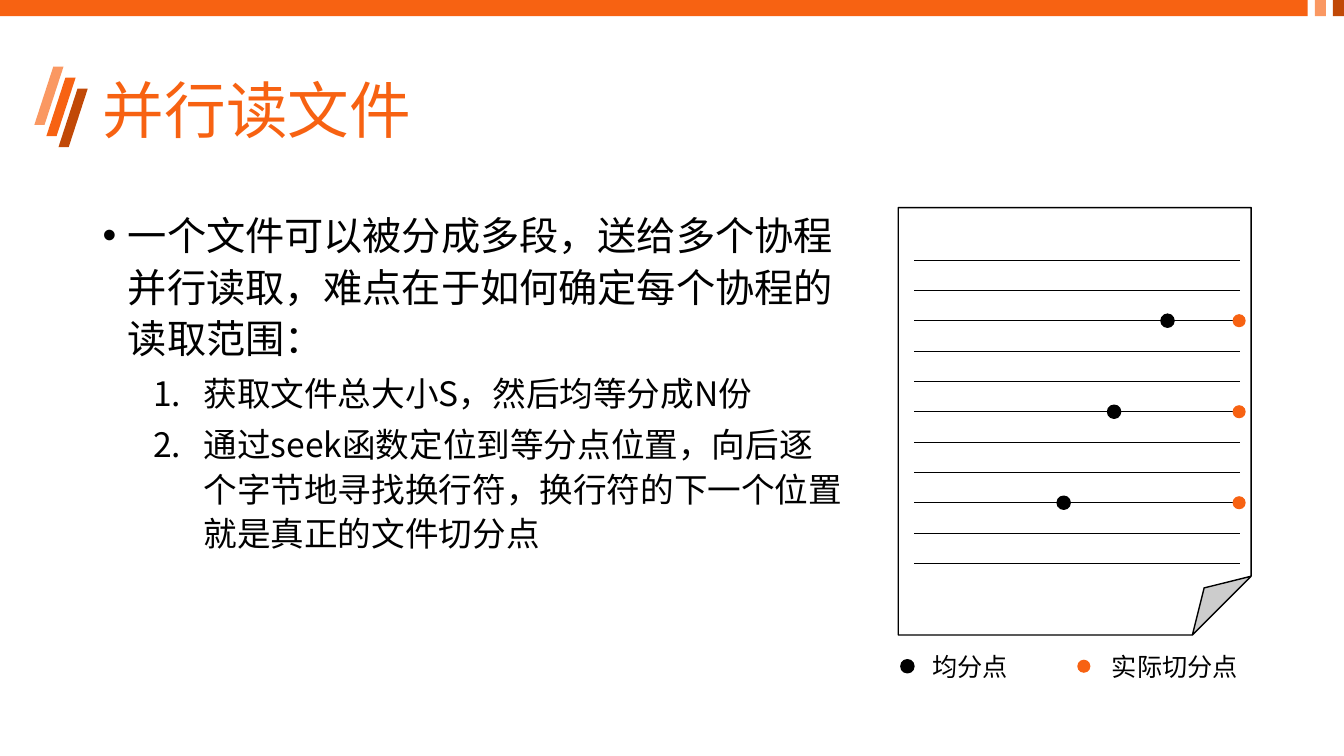
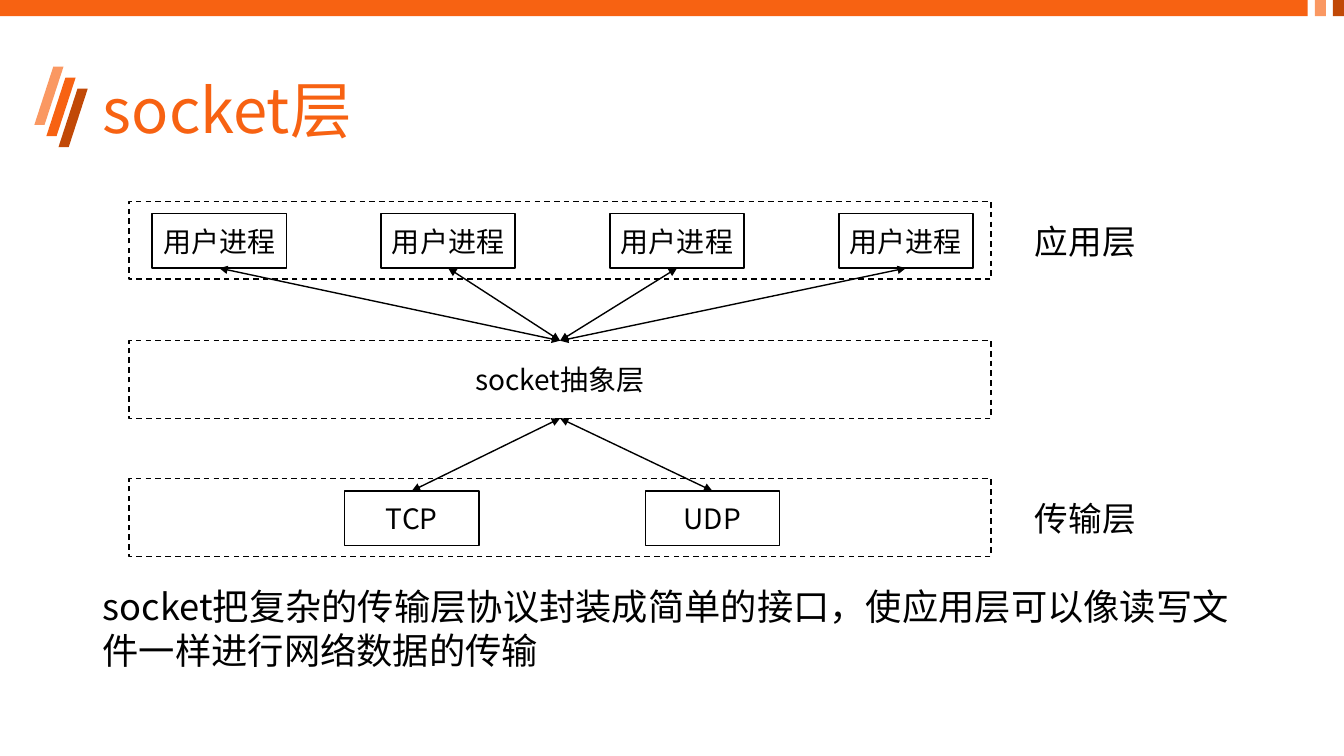
from lxml import etree
from pptx import Presentation
from pptx import util as u
from pptx.dml.color import RGBColor
from pptx.enum import dml, shapes, text
from pptx.oxml import ns

# Shared style
FONT = "Noto Sans CJK SC"
HUE = {"main": "F76212", "light": "FA9862", "dark": "C14907",
       "ink": "000000", "paper": "FFFFFF"}
WIDE, HIGH = 13.33, 7.5
LEFT, SPAN = 0.92, 11.5
KIND = shapes.MSO_SHAPE
ALIGN = text.PP_ALIGN

# Content: file slide
READ = "并行读文件"
STEPS = [  # level, text
    (0, "一个文件可以被分成多段，送给多个协程并行读取，难点在于如何确定每个协程的读取范围："),
    (1, "获取文件总大小S，然后均等分成N份"),
    (1, "通过seek函数定位到等分点位置，向后逐个字节地寻找换行符，换行符的下一个位置就是真正的文件切分点"),
]
LEVELS = [  # size, margin, indent, space before, bullet tag, bullet attributes
    (28, 0.25, -0.25, 10, "a:buChar", {"char": "•"}),
    (24, 1, -0.5, 5, "a:buAutoNum", {"type": "arabicPeriod"}),
]
ROWS = 11
CUTS = [(2, 11.58), (5, 11.05), (8, 10.55)]  # row, centre of even split
KEYS = [("均分点", "ink", 9, 9.15, 0.96), ("实际切分点", "main", 10.75, 10.93, 1.46)]

# Content: socket slide
SOCKET = "socket层"
BANDS = [  # top, text inside, side label, boxes, first left, step
    (2, "", "应用层", ["用户进程"] * 4, 1.51, 2.27),
    (3.38, "socket抽象层", "", [], 0, 0),
    (4.75, "", "传输层", ["TCP", "UDP"], 3.42, 2.98),
]
NOTE = "socket把复杂的传输层协议封装成简单的接口，使应用层可以像读写文件一样进行网络数据的传输"


def rgb(name):
    return RGBColor.from_string(HUE[name])


def inch(*vals):
    return [u.Inches(v) for v in vals]


def sub(node, tag, **attrs):
    return etree.SubElement(node, ns.qn(tag), attrs)


def style(para, size, hue="ink", align=ALIGN.LEFT, gap=None):
    para.alignment = align
    if gap:
        para.line_spacing = gap
    font = para.font
    font.size, font.color.rgb, font.name = u.Pt(size), rgb(hue), FONT
    sub(font._element, "a:ea", typeface=FONT)


def shape(page, kind, at, fill=None, line=None, dash=False):
    item = page.shapes.add_shape(kind, *inch(*at))
    item.shadow.inherit = False
    if fill:
        item.fill.solid()
        item.fill.fore_color.rgb = rgb(fill)
    else:
        item.fill.background()
    if line:
        item.line.color.rgb = rgb(line)
        item.line.width = u.Pt(1)
        if dash:
            item.line.dash_style = dml.MSO_LINE.DASH
    else:
        item.line.fill.background()
    return item


def box(page, at, words="", dash=False):
    item = shape(page, KIND.RECTANGLE, at, line="ink", dash=dash)
    if words:
        frame = item.text_frame
        frame.margin_left = frame.margin_right = 0
        frame.vertical_anchor = text.MSO_ANCHOR.MIDDLE
        frame.text = words
        style(frame.paragraphs[0], 20, align=ALIGN.CENTER)
    return item


def label(page, at, words, size, align=ALIGN.LEFT, wrap=False):
    frame = page.shapes.add_textbox(*inch(*at)).text_frame
    frame.word_wrap = wrap
    frame.text = words
    style(frame.paragraphs[0], size, align=align)


def link(page, start, end, width, heads=False):
    item = page.shapes.add_connector(shapes.MSO_CONNECTOR.STRAIGHT, *inch(*start, *end))
    item.line.color.rgb = rgb("ink")
    item.line.width = u.Pt(width)
    if heads:
        for tag in ("a:headEnd", "a:tailEnd"):
            sub(item.line._get_or_add_ln(), tag, type="triangle")
    sub(item.element.spPr, "a:effectLst")
    return item


def dot(page, x, y, hue):
    size = 0.13
    at = (x - size / 2, y - size / 2, size, size)
    shape(page, KIND.OVAL, at, hue, "ink" if hue == "ink" else None)


def brand(page, layout):
    """Draw the top band and title mark, then hand them to the layout."""
    parts = [shape(page, KIND.RECTANGLE, (x, 0, w, 0.16), hue)
             for x, w, hue in ((0, 12.97, "main"), (13.04, 0.11, "light"),
                               (13.22, 0.11, "dark"))]
    for n, hue in enumerate(("light", "main", "dark")):
        bar = shape(page, KIND.PARALLELOGRAM,
                    (0.34 + 0.12 * n, 0.66 + 0.11 * n, 0.29, 0.58), hue)
        bar.adjustments[0] = 0.65
        parts.append(bar)
    for part in parts:
        layout.shapes.element.append(part.element)


def start(deck, words):
    page = deck.slides.add_slide(deck.slide_layouts[5])
    title = page.shapes.title
    title.left, title.top, title.width, title.height = inch(LEFT, 0.4, SPAN, 1.45)
    frame = title.text_frame
    frame.text = words
    frame.auto_size = text.MSO_AUTO_SIZE.NONE
    frame.vertical_anchor = text.MSO_ANCHOR.MIDDLE
    style(frame.paragraphs[0], 44, "main", gap=0.9)
    return page


def steps(page):
    frame = page.shapes.add_textbox(*inch(LEFT, 2, 7.55, 4.76)).text_frame
    frame.word_wrap = True
    for n, (level, words) in enumerate(STEPS):
        para = frame.add_paragraph() if n else frame.paragraphs[0]
        size, margin, indent, before, tag, attrs = LEVELS[level]
        para.text, para.level = words, level
        props = para._p.get_or_add_pPr()
        props.set("marL", str(u.Inches(margin)))
        props.set("indent", str(u.Inches(indent)))
        sub(props, "a:buFont", typeface="Arial" if level == 0 else FONT)
        sub(props, tag, **attrs)
        if n:
            para.space_before = u.Pt(before)
        style(para, size, gap=1.1)


def sheet(page):
    shape(page, KIND.FOLDED_CORNER, (8.91, 2.06, 3.5, 4.24), "paper", "ink")
    rows = [2.58 + 0.301 * n for n in range(ROWS)]
    for y in rows:
        link(page, (9.07, y), (12.3, y), 0.5)
    for row, x in CUTS:
        dot(page, x, rows[row], "ink")
        dot(page, 12.29, rows[row], "main")
    for words, hue, x, left, width in KEYS:
        dot(page, x, 6.61, hue)
        label(page, (left, 6.41, width, 0.4), words, 18)


def layers(page):
    bands, groups = [], []
    for top, words, side, names, left, step in BANDS:
        bands.append(box(page, (1.28, top, 8.55, 0.77), words, dash=True))
        groups.append([box(page, (left + step * n, top + 0.12, 1.33, 0.54), name)
                       for n, name in enumerate(names)])
        if side:
            label(page, (10.16, top + 0.14, 1.21, 0.5), side, 24, ALIGN.CENTER)
    # Connection sites: 0 is the top edge, 2 the bottom edge
    for group, site, port in ((groups[0], 2, 0), (groups[2], 0, 2)):
        for item in group:
            arrow = link(page, (0, 0), (1, 1), 1, heads=True)
            arrow.begin_connect(item, site)
            arrow.end_connect(bands[1], port)


def main():
    deck = Presentation()
    deck.slide_width, deck.slide_height = inch(WIDE, HIGH)
    # File slide
    page = start(deck, READ)
    brand(page, deck.slide_layouts[5])
    steps(page)
    sheet(page)
    # Socket slide
    page = start(deck, SOCKET)
    layers(page)
    label(page, (LEFT, 5.75, SPAN, 1.01), NOTE, 25.9, wrap=True)
    deck.save("out.pptx")


if __name__ == "__main__":
    main()
